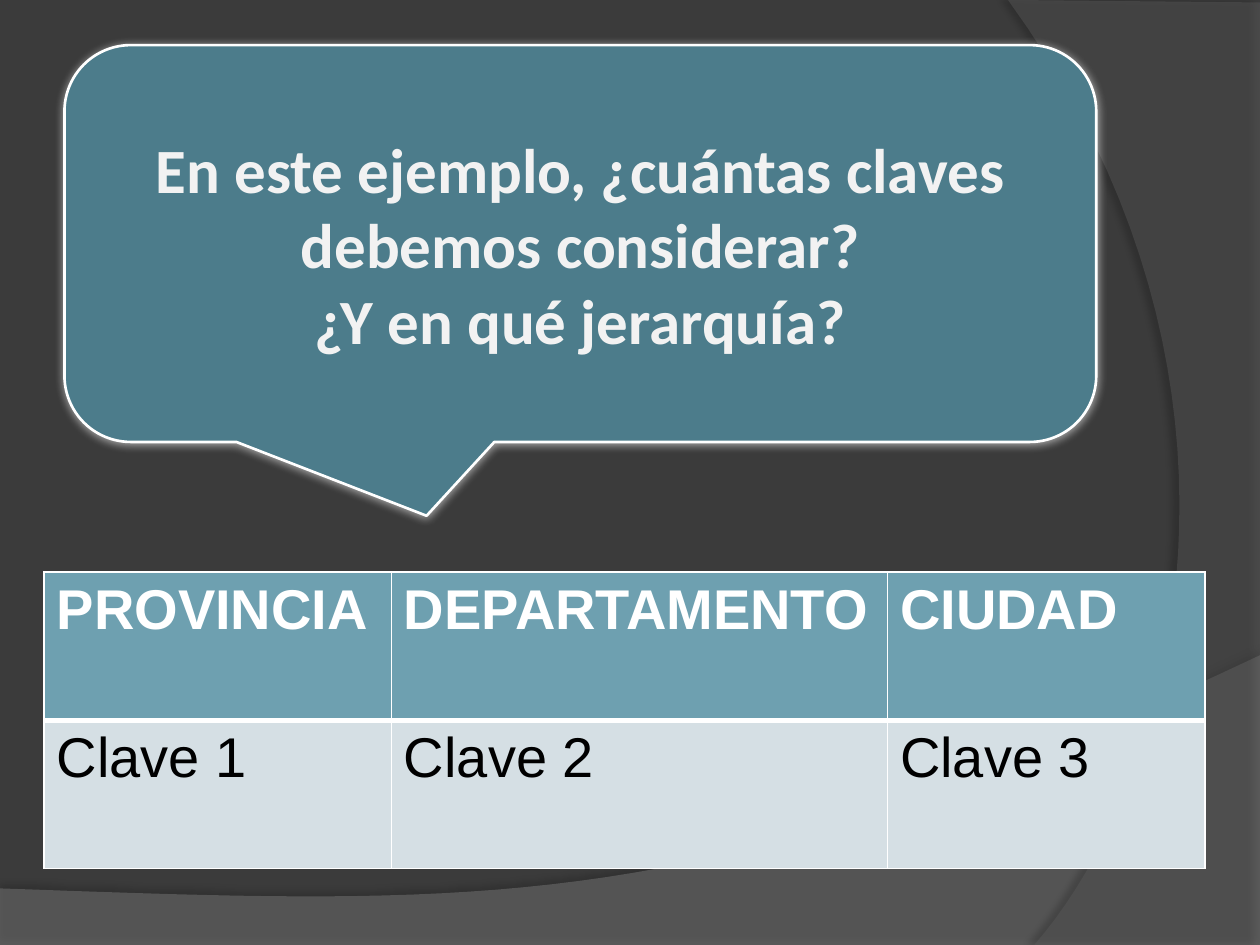
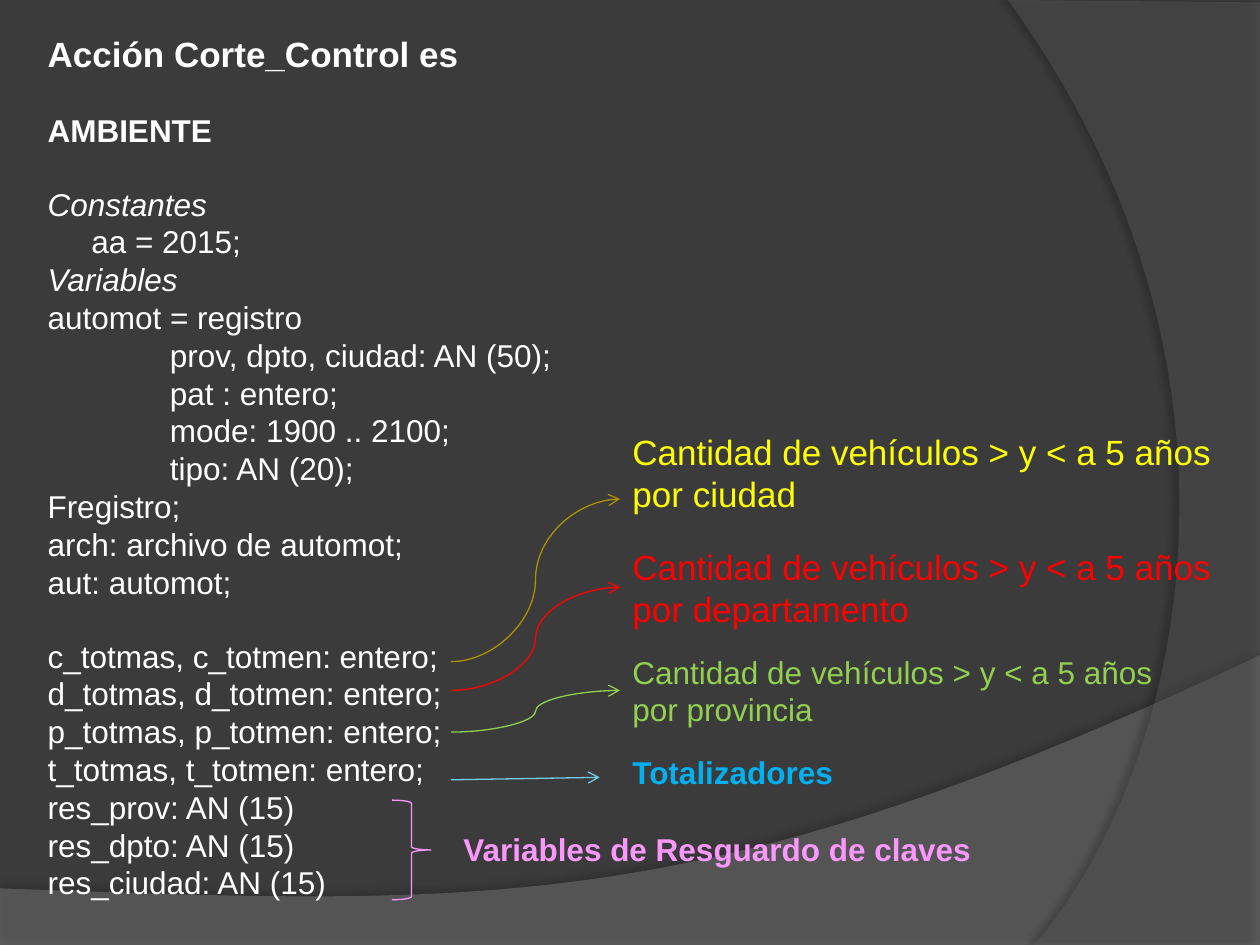
"""Build two slides about control-break keys and their variables."""
import lxml.etree
import pptx
import pptx.dml.color
import pptx.enum.shapes
import pptx.enum.text
import pptx.oxml.ns
import pptx.util

Cm = pptx.util.Cm
Pt = pptx.util.Pt
RGB = pptx.dml.color.RGBColor
SHAPE = pptx.enum.shapes.MSO_SHAPE
LINK = pptx.enum.shapes.MSO_CONNECTOR
ALIGN = pptx.enum.text.PP_ALIGN
ANCHOR = pptx.enum.text.MSO_ANCHOR

DARK = RGB(0x3B, 0x3B, 0x3B)
GREY = RGB(0x7F, 0x7F, 0x7F)
SLATE = RGB(0x5E, 0x5E, 0x5E)
BLACK = RGB(0, 0, 0)
WHITE = RGB(0xFF, 0xFF, 0xFF)
PALE = RGB(0xF2, 0xF2, 0xF2)
TEAL = RGB(0x4C, 0x7C, 0x8B)
HEAD = RGB(0x6E, 0xA0, 0xB0)
BODY = RGB(0xD5, 0xDF, 0xE4)
GOLD = RGB(0xAB, 0x92, 0x00)
YELLOW = RGB(0xFF, 0xFF, 0x00)
RED = RGB(0xFF, 0, 0)
GREEN = RGB(0x92, 0xD0, 0x50)
SKY = RGB(0x75, 0xCC, 0xE7)
BLUE = RGB(0x00, 0xB0, 0xF0)
PINK = RGB(0xFB, 0x97, 0xFD)

BANDS = [
    (GREY, 45, (35, 4, 3.5, 270),
     [(0, 17.91), (0, 19.05), (25.4, 19.05), (25.4, 13.21)],
     [(14.2, 18.52), (9.93, 18.26), (0, 17.91)]),
    (SLATE, 40, (45, 4, 4, 180),
     [(25.4, 0.05), (25.4, 19.05), (20.85, 19.05)],
     [(23.75, 15.72), (25.86, 7.62), (20.32, 0)]),
]

ROWS = [["PROVINCIA", "DEPARTAMENTO", "CIUDAD"],
        ["Clave 1", "Clave 2", "Clave 3"]]

BOLD = {"bold": True}
SLOPE = {"italic": True}
GAP = Pt(20.7)
CODE = [
    ("Acción Corte_Control es", {"bold": True, "size": Pt(20)}, 0),
    ("AMBIENTE", BOLD, GAP),
    ("Constantes", SLOPE, GAP),
    ("     aa = 2015;", {}, 0),
    ("Variables", SLOPE, 0),
    ("automot = registro", {}, 0),
    ("              prov, dpto, ciudad: AN (50);", {}, 0),
    ("              pat : entero;", {}, 0),
    ("              mode: 1900 .. 2100;", {}, 0),
    ("              tipo: AN (20);", {}, 0),
    ("Fregistro;", {}, 0),
    ("arch: archivo de automot;", {}, 0),
    ("aut: automot;", {}, 0),
    ("c_totmas, c_totmen: entero;", {}, GAP),
    ("d_totmas, d_totmen: entero;", {}, 0),
    ("p_totmas, p_totmen: entero;", {}, 0),
    ("t_totmas, t_totmen: entero;", {}, 0),
    ("res_prov: AN (15)", {}, 0),
    ("res_dpto: AN (15)", {}, 0),
    ("res_ciudad: AN (15)", {}, 0),
]

NOTES = [
    ("Cantidad de vehículos > y < a 5 años por ciudad",
     (12.5, 8.56, 12.19, 1.96), YELLOW, {"size": Pt(20)}, True),
    ("Cantidad de vehículos > y < a 5 años por departamento",
     (12.5, 10.87, 12.19, 1.96), RED, {"size": Pt(20)}, True),
    ("Cantidad de vehículos > y < a 5 años por provincia",
     (12.5, 13.03, 11.81, 1.8), GREEN, {}, True),
    ("Totalizadores", (12.5, 15.06, 4.6, 1.02), BLUE, BOLD, False),
    ("Variables de Resguardo de claves",
     (9.09, 16.61, 10.85, 1.02), PINK, BOLD, False),
]

ARROWS = [
    (LINK.CURVE, 13.34, 12.5, 10.06, GOLD),
    (LINK.CURVE, 13.92, 12.5, 11.84, RED),
    (LINK.CURVE, 14.76, 12.5, 13.92, GREEN),
    (LINK.STRAIGHT, 15.72, 12.09, 15.67, SKY),
]


def node(up, tag, **vals):
    """Add a drawing element with attributes under a parent."""
    part = lxml.etree.SubElement(up, pptx.oxml.ns.qn("a:" + tag))
    for name, val in vals.items():
        part.set(name, str(val))
    return part


def tint(up, color, alpha):
    """Add a solid colour with an opacity in percent."""
    node(node(up, "srgbClr", val=color), "alpha", val=alpha * 1000)


def shade(shape, color, alpha, blur, dist, angle):
    """Give a shape a soft outer shadow."""
    shape.shadow.inherit = False
    pack = shape.element.spPr.find(pptx.oxml.ns.qn("a:effectLst"))
    cast = node(pack, "outerShdw", blurRad=Pt(blur), dist=Pt(dist),
                dir=angle * 60000, algn="ctr", rotWithShape=0)
    tint(cast, color, alpha)


def style(font, color, **vals):
    """Set font values and colour."""
    for name, val in vals.items():
        setattr(font, name, val)
    font.color.rgb = color


def trace(start, ends, steps=40):
    """Return points along a cubic curve after its start."""
    pts = [start, *ends]
    curve = []
    for step in range(1, steps + 1):
        t = step / steps
        mix = ((1 - t) ** 3, 3 * t * (1 - t) ** 2, 3 * t * t * (1 - t), t ** 3)
        curve.append(tuple(sum(m * p[axis] for m, p in zip(mix, pts))
                           for axis in (0, 1)))
    return curve


def draw_band(slide, color, alpha, cast, edge, bend):
    """Draw a translucent band with one curved side."""
    pts = [(Cm(x), Cm(y)) for x, y in edge + trace(edge[-1], bend)]
    pen = slide.shapes.build_freeform(*pts[0])
    pen.add_line_segments(pts[1:], close=True)
    band = pen.convert_to_shape()
    band.fill.solid()
    band.fill.fore_color.rgb = color
    clr = band.fill._xPr.find(".//" + pptx.oxml.ns.qn("a:srgbClr"))
    node(clr, "alpha", val=alpha * 1000)
    band.line.fill.background()
    shade(band, BLACK, *cast)
    return band


def set_base(slide):
    """Put the backdrop and bands on the layout shared by all slides."""
    base = slide.slide_layout
    base.background.fill.solid()
    base.background.fill.fore_color.rgb = DARK
    for band in BANDS:
        base.shapes.element.append(draw_band(slide, *band).element)


def add_text(slide, box, lines, color, wrap=True):
    """Add a text box from lines of text, font values and space before."""
    frame = slide.shapes.add_textbox(*map(Cm, box)).text_frame
    frame.word_wrap = wrap
    for rank, (text, vals, gap) in enumerate(lines):
        para = frame.add_paragraph() if rank else frame.paragraphs[0]
        para.space_before = gap
        run = para.add_run()
        run.text = text
        style(run.font, color, **{"name": "Arial", "size": Pt(18), **vals})


def add_bubble(slide, box, lines):
    """Add the speech bubble that asks the question."""
    shape = slide.shapes.add_shape(SHAPE.ROUNDED_RECTANGULAR_CALLOUT,
                                   *map(Cm, box))
    for rank, val in enumerate((-0.149, 0.686, 0.167)):
        shape.adjustments[rank] = val
    shape.fill.solid()
    shape.fill.fore_color.rgb = TEAL
    shape.line.color.rgb = WHITE
    shape.line.width = Pt(1.5)
    shade(shape, WHITE, 60, 5, 1, 90)
    frame = shape.text_frame
    frame.word_wrap = True
    frame.vertical_anchor = ANCHOR.MIDDLE
    for rank, text in enumerate(lines):
        para = frame.add_paragraph() if rank else frame.paragraphs[0]
        para.alignment = ALIGN.CENTER
        run = para.add_run()
        run.text = text
        style(run.font, PALE, name="Calibri", size=Pt(36), bold=True)


def add_grid(slide, left, top, widths, height, rows):
    """Add the table of keys with white rules."""
    grid = slide.shapes.add_table(
        len(rows), len(widths), Cm(left), Cm(top), Cm(sum(widths)),
        Cm(height * len(rows))).table
    for col, width in zip(grid.columns, widths):
        col.width = Cm(width)
    for r, row in enumerate(rows):
        grid.rows[r].height = Cm(height)
        for c, text in enumerate(row):
            cell = grid.cell(r, c)
            rules = {"lnL": 1, "lnR": 1, "lnT": 1 if r == 0 else 3,
                     "lnB": 3 if r == 0 else 1}
            for side, width in rules.items():
                rule = node(cell._tc.get_or_add_tcPr(), side, w=Pt(width))
                tint(node(rule, "solidFill"), WHITE, 100)
            cell.fill.solid()
            cell.fill.fore_color.rgb = BODY if r else HEAD
            run = cell.text_frame.paragraphs[0].add_run()
            run.text = text
            style(run.font, BLACK if r else WHITE, name="Arial",
                  size=Pt(32), bold=r == 0)


def add_arrow(slide, kind, start, right, end, color):
    """Link a line of code to its note."""
    link = slide.shapes.add_connector(kind, Cm(9.09), Cm(start),
                                      Cm(right), Cm(end))
    link.line.color.rgb = color
    link.line.width = Pt(0.75)
    node(link.line._get_or_add_ln(), "tailEnd", type="arrow")
    node(link.element.spPr, "effectLst")


def add_brace(slide, box):
    """Add the brace that joins the saved keys."""
    brace = slide.shapes.add_shape(SHAPE.RIGHT_BRACE, *map(Cm, box))
    brace.shadow.inherit = False
    brace.fill.background()
    brace.line.color.rgb = PINK
    brace.line.width = Pt(0.75)


def main():
    """Build and save the deck."""
    deck = pptx.Presentation()
    deck.slide_width, deck.slide_height = Cm(25.4), Cm(19.05)
    blank = deck.slide_layouts[6]

    ask = deck.slides.add_slide(blank)
    set_base(ask)
    add_bubble(ask, (1.3, 0.91, 20.8, 8),
               ["En este ejemplo, ¿cuántas claves debemos considerar?",
                "¿Y en qué jerarquía?"])
    add_grid(ask, 0.89, 11.53, (7, 10, 6.4), 2.99, ROWS)

    code = deck.slides.add_slide(blank)
    add_text(code, (0.71, 0.53, 12.7, 18.03), CODE, WHITE)
    for arrow in ARROWS:
        add_arrow(code, *arrow)
    for text, box, color, vals, wrap in NOTES:
        add_text(code, box, [(text, vals, 0)], color, wrap)
    add_brace(code, (7.9, 16.13, 0.79, 2.01))
    deck.save("out.pptx")


if __name__ == "__main__":
    main()
